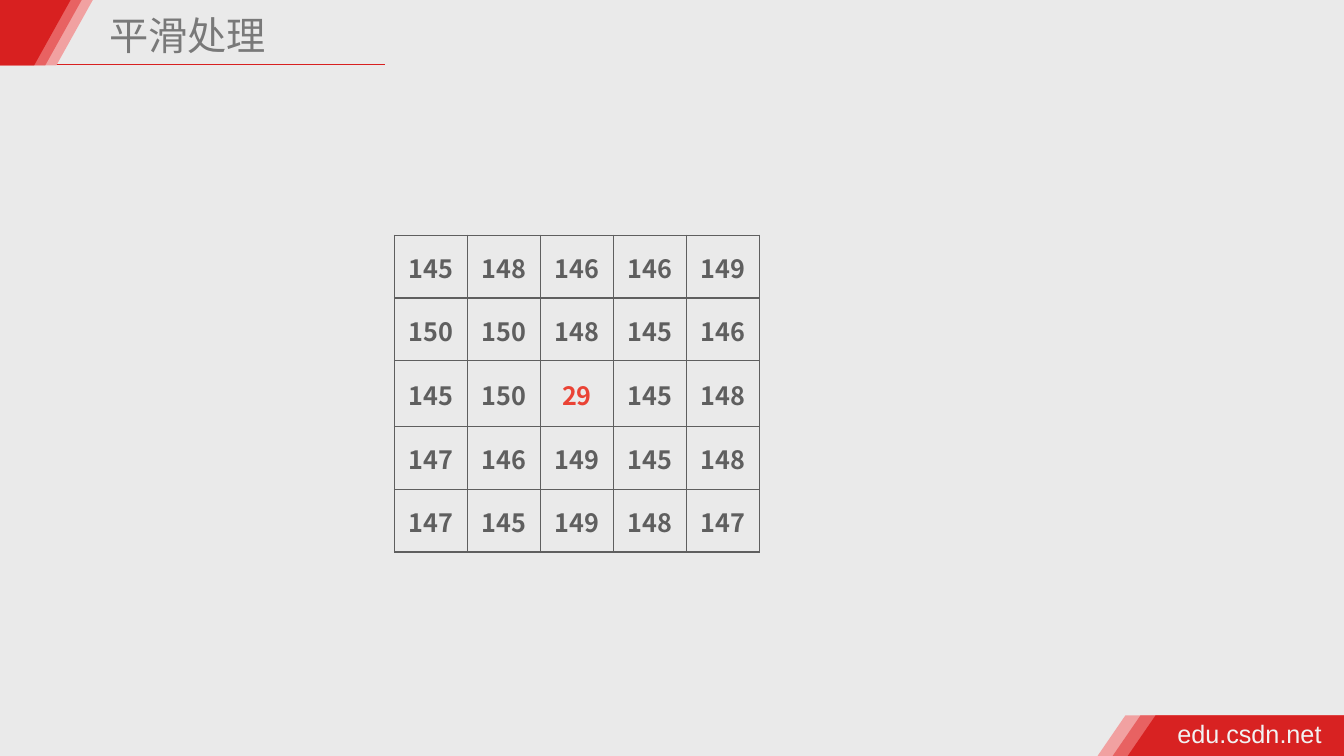
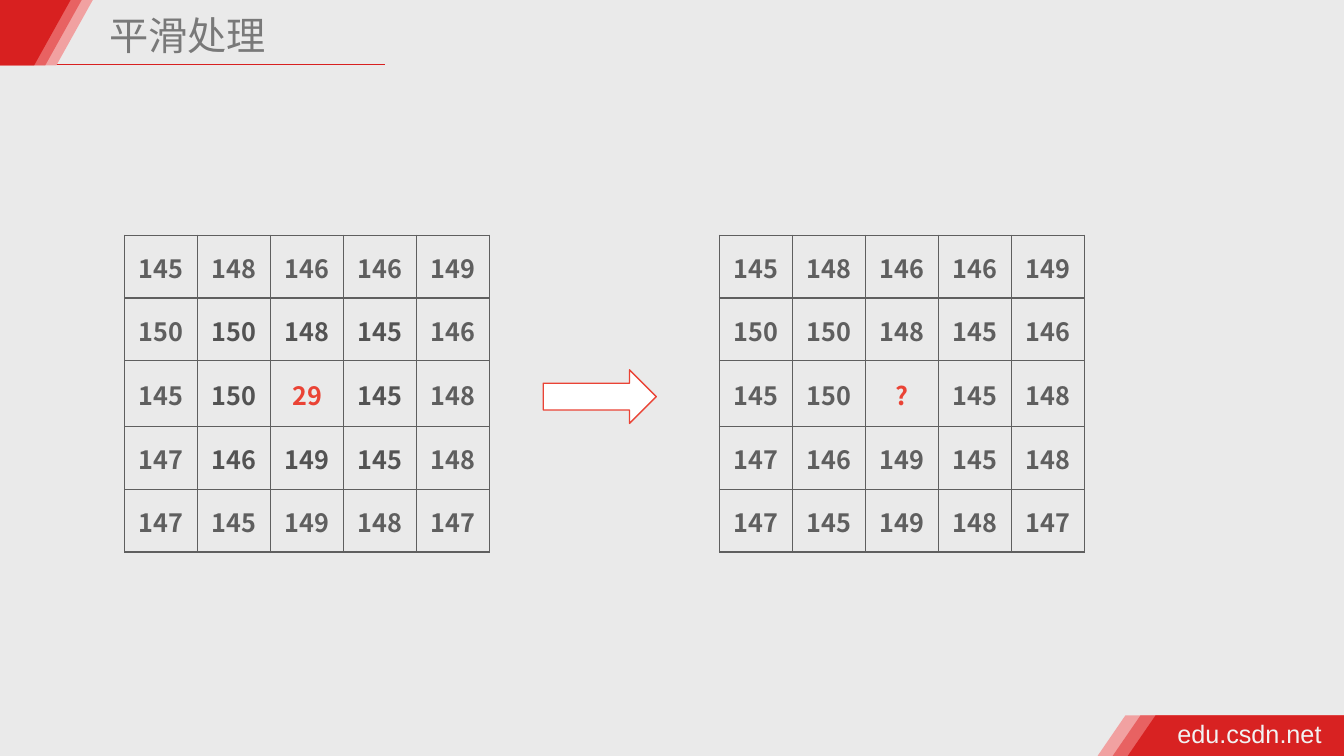
from dataclasses import dataclass

from lxml import etree
from pptx import Presentation
from pptx.dml.color import RGBColor
from pptx.enum.shapes import MSO_CONNECTOR, MSO_SHAPE
from pptx.enum.text import MSO_ANCHOR, PP_ALIGN
from pptx.oxml import parse_xml
from pptx.oxml.ns import nsdecls, qn
from pptx.util import Cm, Pt

STRAIGHT = MSO_CONNECTOR.STRAIGHT
RIGHT_ARROW = MSO_SHAPE.RIGHT_ARROW
MIDDLE = MSO_ANCHOR.MIDDLE
CENTER = PP_ALIGN.CENTER


@dataclass(frozen=True)
class Theme:
    background: str = "EAEAEA"
    bands: tuple = ("F1A1A1", "E86262", "D82020")
    title: str = "797979"
    footer: str = "F2F2F2"
    grid: str = "5F5F5F"
    neighbour: str = "535353"
    accent: str = "EA4335"
    white: str = "FFFFFF"
    cjk_font: str = "Noto Sans CJK SC"
    footer_font: str = "Arial"
    title_size: int = 28
    body_size: int = 18
    line: int = 1


T = Theme()
rgb = RGBColor.from_string


def add_text(p, text, color, **format_values):
    r = p.add_run()
    r.text = text
    for name, value in format_values.items():
        setattr(r.font, name, value)
    r.font.color.rgb = rgb(color)
    ea = etree.SubElement(r.font._element, qn("a:ea"))
    ea.set("typeface", format_values["name"])


def add_text_box(s, left, top, width, height, wrap):
    """Add an empty text box and return its first paragraph."""
    tf = s.shapes.add_textbox(Cm(left), Cm(top), Cm(width), Cm(height)).text_frame
    for side in ("left", "top", "right", "bottom"):
        setattr(tf, f"margin_{side}", Cm(0.13))
    tf.word_wrap = wrap
    return tf.paragraphs[0]


WIDTH, HEIGHT = 33.87, 19.05
HEADER_HEIGHT, HEADER_SLANT, HEADER_STEP = 1.65, 0.92, 0.28
FOOTER_TOP, FOOTER_SLANT, FOOTER_STEP = 18.03, 0.7, 0.38
GRID_TOP, COLUMN_WIDTH = 5.93, 1.84
ROW_HEIGHTS = (1.58, 1.58, 1.66, 1.58, 1.58)
PIXELS = (
    (145, 148, 146, 146, 149),
    (150, 150, 148, 145, 146),
    (145, 150, 29, 145, 148),
    (147, 146, 149, 145, 148),
    (147, 145, 149, 148, 147),
)
SIZE = len(PIXELS)
MID = SIZE // 2

# Per slide: grids as (left, centre value, neighbour colour), and the arrow's place
SLIDES = (
    {"grids": ((9.94, "29", T.grid),), "arrow": None},
    {"grids": ((3.14, "29", T.neighbour), (18.13, "?", T.grid)),
     "arrow": (13.69, 9.32, 2.85, 1.35)},
)

prs = Presentation()
prs.slide_width, prs.slide_height = Cm(WIDTH), Cm(HEIGHT)
fill = prs.slide_master.background.fill
fill.solid()
fill.fore_color.rgb = rgb(T.background)

for content in SLIDES:
    s = prs.slides.add_slide(prs.slide_layouts[6])

    # Header rule
    rule = s.shapes.add_connector(STRAIGHT, Cm(1.24), Cm(1.63), Cm(9.7), Cm(1.63))
    rule.line.color.rgb = rgb(T.bands[-1])
    rule.line.width = Pt(T.line)
    etree.SubElement(rule._element.spPr, qn("a:effectLst"))

    # Slanted bands, palest at the back
    for i, color in enumerate(T.bands):
        back = len(T.bands) - 1 - i
        head = 1.78 + back * HEADER_STEP
        foot = 29.12 - back * FOOTER_STEP
        outlines = (
            ((0, 0), (head, 0), (head - HEADER_SLANT, HEADER_HEIGHT), (0, HEADER_HEIGHT)),
            ((foot, FOOTER_TOP), (WIDTH, FOOTER_TOP), (WIDTH, HEIGHT),
             (foot - FOOTER_SLANT, HEIGHT)),
        )
        for outline in outlines:
            points = [(Cm(x), Cm(y)) for x, y in outline]
            builder = s.shapes.build_freeform(*points[0])
            builder.add_line_segments(points[1:], close=True)
            sp = builder.convert_to_shape()
            sp.shadow.inherit = False
            sp.fill.solid()
            sp.fill.fore_color.rgb = rgb(color)
            sp.line.fill.background()
    # The front footer band lets a little of the others through
    alpha = etree.SubElement(sp._element.spPr.find(".//" + qn("a:srgbClr")), qn("a:alpha"))
    alpha.set("val", "97000")

    p = add_text_box(s, 29.54, 17.98, 3.94, 1.02, False)
    add_text(p, "edu.csdn.net", T.footer, name=T.footer_font, size=Pt(T.body_size))
    p = add_text_box(s, 2.62, 0.3, 11.07, 1.35, True)
    p.line_spacing = 0.9
    add_text(p, "平滑处理", T.title, name=T.cjk_font, size=Pt(T.title_size))

    for left, centre, neighbour in content["grids"]:
        table = s.shapes.add_table(
            SIZE, SIZE, Cm(left), Cm(GRID_TOP),
            Cm(SIZE * COLUMN_WIDTH), Cm(sum(ROW_HEIGHTS))).table
        table.first_row = table.horz_banding = False
        for column in table.columns:
            column.width = Cm(COLUMN_WIDTH)
        for row, height in zip(table.rows, ROW_HEIGHTS):
            row.height = Cm(height)
        for i, values in enumerate(PIXELS):
            for j, value in enumerate(values):
                distance = max(abs(i - MID), abs(j - MID))
                text = centre if distance == 0 else str(value)
                color = {0: T.accent, 1: neighbour}.get(distance, T.grid)
                cell = table.cell(i, j)
                cell.vertical_anchor = MIDDLE
                cell.margin_left = cell.margin_right = cell.margin_top = Cm(0.03)
                cell.margin_bottom = 0
                tcPr = cell._tc.get_or_add_tcPr()
                for side in "LRTB":
                    tcPr.append(parse_xml(
                        f'<a:ln{side} {nsdecls("a")} w="{Pt(T.line)}"><a:solidFill>'
                        f'<a:srgbClr val="{T.grid}"/></a:solidFill></a:ln{side}>'))
                cell.fill.background()
                p = cell.text_frame.paragraphs[0]
                p.alignment = CENTER
                add_text(p, text, color, name=T.cjk_font, size=Pt(T.body_size), bold=True)

    if content["arrow"]:
        sp = s.shapes.add_shape(RIGHT_ARROW, *map(Cm, content["arrow"]))
        sp.shadow.inherit = False
        sp.fill.solid()
        sp.fill.fore_color.rgb = rgb(T.white)
        sp.line.color.rgb = rgb(T.accent)
        sp.line.width = Pt(T.line)

prs.save("out.pptx")
